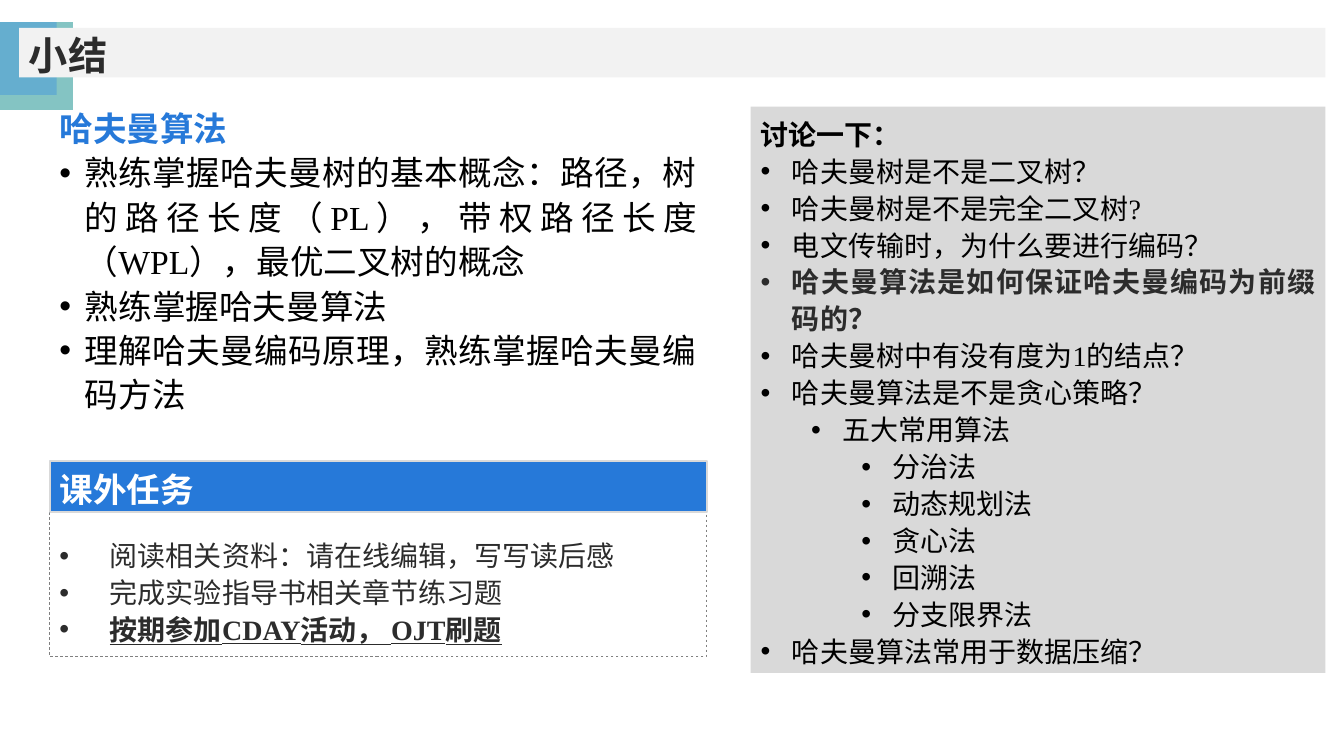
from lxml import etree
from pptx import Presentation
from pptx import util as u
from pptx.dml import color
from pptx.enum import dml, shapes, text
from pptx.oxml import ns

TITLE_FONT, CJK_FONT, BODY_FONT = "Arial", "Noto Sans CJK SC", "Times New Roman"
BLACK, DARK, BLUE, GREY, WHITE = "000000", "2C2C2C", "2679D9", "D9D9D9", "FFFFFF"

presentation = Presentation()
presentation.slide_width, presentation.slide_height = u.Cm(33.87), u.Cm(19.05)
slide = presentation.slides.add_slide(presentation.slide_layouts[5])


def add_box(left, top, width, height, fill):
    shape = slide.shapes.add_shape(shapes.MSO_SHAPE.RECTANGLE,
                                   u.Cm(left), u.Cm(top), u.Cm(width), u.Cm(height))
    shape.shadow.inherit = False
    shape.fill.solid()
    shape.fill.fore_color.rgb = color.RGBColor.from_string(fill)
    shape.line.fill.background()
    return shape


def write(shape, rows, size, anchor=text.MSO_ANCHOR.TOP, inset=0.18, step=1.27):
    """Each row: text, colour, bold, font, hanging indent in cm (0 = no bullet), level, alignment."""
    frame = shape.text_frame
    frame.word_wrap = True
    frame.auto_size = text.MSO_AUTO_SIZE.NONE
    frame.vertical_anchor = anchor
    frame.margin_left = frame.margin_right = u.Cm(0.25)
    frame.margin_top, frame.margin_bottom = u.Cm(inset), u.Cm(0.13)
    frame.text = "\n".join(row[0] for row in rows)
    for paragraph, row in zip(frame.paragraphs, rows):
        _, ink, bold, font, hanging, level, alignment = row
        paragraph.alignment = alignment
        paragraph.level = level
        paragraph.space_before = u.Pt(0)
        paragraph.line_spacing = u.Pt(size * 1.32)
        properties = paragraph._p.get_or_add_pPr()
        properties.set("marL", str(u.Cm(hanging + level * step)))
        properties.set("indent", str(-u.Cm(hanging)))
        if hanging:
            etree.SubElement(properties, ns.qn("a:buFont"), typeface="Arial")
            etree.SubElement(properties, ns.qn("a:buChar"), char="•")
        for run in paragraph.runs:
            run.font.size, run.font.bold, run.font.name = u.Pt(size), bold, font
            run.font.color.rgb = color.RGBColor.from_string(ink)
            etree.SubElement(run._r.get_or_add_rPr(), ns.qn("a:ea"), typeface=CJK_FONT)


LEFT, JUSTIFY = text.PP_ALIGN.LEFT, text.PP_ALIGN.JUSTIFY
MIDDLE = text.MSO_ANCHOR.MIDDLE

# Corner decoration and title bar
add_box(0, 0.56, 1.84, 2.21, "84C4C3")
add_box(0, 0.56, 1.43, 1.83, "65AECF")
title = slide.shapes.title
title.left, title.top, title.width, title.height = u.Cm(0.48), u.Cm(0.7), u.Cm(32.92), u.Cm(1.25)
title.fill.solid()
title.fill.fore_color.rgb = color.RGBColor.from_string("F2F2F2")
write(title, [("小结", DARK, True, TITLE_FONT, 0, 0, LEFT)], 28, MIDDLE, 0.13)
title.element.getparent().append(title.element)

# Summary of the algorithm
summary = slide.shapes.add_textbox(u.Cm(1.25), u.Cm(2.44), u.Cm(16.56), u.Cm(8.33))
points = [
    "熟练掌握哈夫曼树的基本概念：路径，树的路径长度（PL），带权路径长度（WPL），最优二叉树的概念",
    "熟练掌握哈夫曼算法",
    "理解哈夫曼编码原理，熟练掌握哈夫曼编码方法",
]
write(summary, [("哈夫曼算法", BLUE, True, CJK_FONT, 0, 0, JUSTIFY)]
      + [(point, BLACK, False, BODY_FONT, 0.64, 0, JUSTIFY) for point in points], 24)

# Discussion panel
discussion = add_box(18.92, 2.69, 14.48, 14.27, GREY)
key_question = "哈夫曼算法是如何保证哈夫曼编码为前缀码的？"
questions = [
    ("哈夫曼树是不是二叉树？", 0),
    ("哈夫曼树是不是完全二叉树?", 0),
    ("电文传输时，为什么要进行编码？", 0),
    (key_question, 0),
    ("哈夫曼树中有没有度为1的结点？", 0),
    ("哈夫曼算法是不是贪心策略？", 0),
    ("五大常用算法", 1),
    ("分治法", 2),
    ("动态规划法", 2),
    ("贪心法", 2),
    ("回溯法", 2),
    ("分支限界法", 2),
    ("哈夫曼算法常用于数据压缩？", 0),
]
rows = [("讨论一下：", BLACK, True, BODY_FONT, 0, 0, LEFT)]
for question, level in questions:
    is_key = question == key_question
    rows.append((question, DARK if is_key else BLACK, is_key, BODY_FONT, 0.79, level,
                 JUSTIFY if is_key else LEFT))
write(discussion, rows, 20)

# Homework box, with its text starting below the header bar
homework = add_box(1.25, 11.99, 16.56, 4.55, WHITE)
homework.line.color.rgb = color.RGBColor.from_string("808080")
homework.line.width = u.Pt(0.5)
homework.line.dash_style = dml.MSO_LINE.DASH
tasks = [
    ("阅读相关资料：请在线编辑，写写读后感", False),
    ("完成实验指导书相关章节练习题", False),
    ("按期参加CDAY活动， OJT刷题", True),
]
write(homework, [(task, DARK, bold, BODY_FONT, 1.27, 0, LEFT) for task, bold in tasks],
      20, inset=1.5)
homework.text_frame.paragraphs[-1].runs[0].font.underline = True

header = add_box(1.25, 11.61, 16.56, 1.3, BLUE)
header.line.color.rgb = color.RGBColor.from_string(GREY)
header.line.width = u.Pt(1.5)
write(header, [("课外任务", WHITE, True, TITLE_FONT, 0, 0, LEFT)], 24, MIDDLE)

presentation.save("out.pptx")
